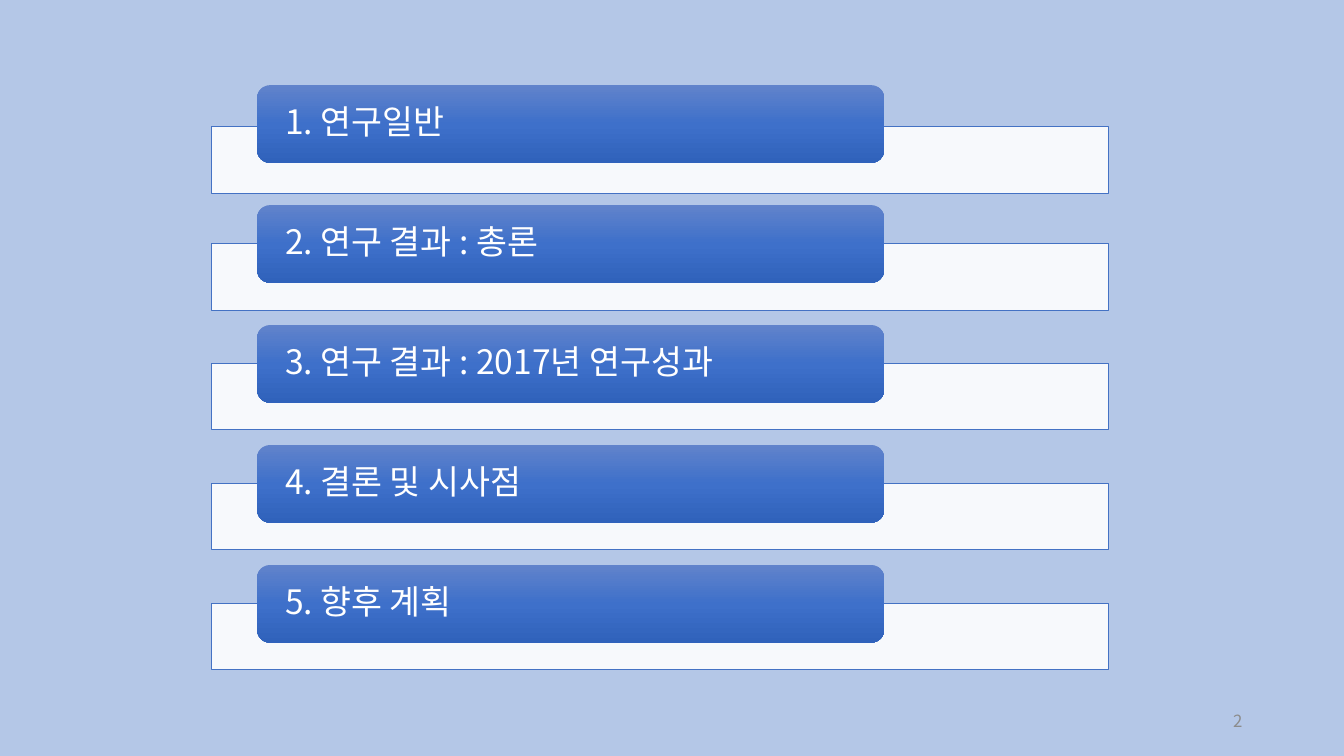
from lxml import etree
from pptx import Presentation
from pptx.dml.color import RGBColor
from pptx.enum.shapes import MSO_SHAPE
from pptx.enum.text import MSO_ANCHOR, PP_ALIGN
from pptx.oxml.ns import qn
from pptx.util import Inches, Pt

RECTANGLE = MSO_SHAPE.RECTANGLE
ROUNDED = MSO_SHAPE.ROUNDED_RECTANGLE
MIDDLE = MSO_ANCHOR.MIDDLE
LEFT, RIGHT = PP_ALIGN.LEFT, PP_ALIGN.RIGHT

# Content: agenda text and how far its bar sits below the card top
AGENDA = [
    ("1. 연구일반", 0.41),
    ("2. 연구 결과 : 총론", 0.38),
    ("3. 연구 결과 : 2017년 연구성과", 0.38),
    ("4. 결론 및 시사점", 0.38),
    ("5. 향후 계획", 0.38),
]
PAGE_NUMBER = "2"

FONT = "Noto Sans CJK KR"
COLORS = {
    "background": "B4C7E7",
    "white": "FFFFFF",
    "bar_line": "4472C4",
    "card_top": "6183CB",
    "card_middle": "3E70CA",
    "card_bottom": "3062BB",
    "page_number": "8C8C8C",
}
CARD_STOPS = [(0, "card_top"), (50, "card_middle"), (100, "card_bottom")]

# Layout in inches
FIRST_CARD_TOP, CARD_STEP = 0.845, 1.19
CARD_LEFT, CARD_WIDTH, CARD_HEIGHT = 2.55, 6.22, 0.77
BAR_LEFT, BAR_WIDTH, BAR_HEIGHT = 2.1, 8.89, 0.66
CARD_INSET = 0.28


def color(name):
    return RGBColor.from_string(COLORS[name])


def write(shape, text, size, color_name, align=LEFT, inset=0.1, line_spacing=1.0):
    frame = shape.text_frame
    frame.word_wrap = True
    frame.vertical_anchor = MIDDLE
    frame.margin_left = frame.margin_right = Inches(inset)
    frame.margin_top = frame.margin_bottom = 0
    paragraph = frame.paragraphs[0]
    paragraph.alignment = align
    paragraph.line_spacing = line_spacing
    run = paragraph.add_run()
    run.text = text
    run.font.size = Pt(size)
    run.font.name = FONT
    run.font.color.rgb = color(color_name)
    east_asian = etree.SubElement(run.font._element, qn("a:ea"))
    east_asian.set("typeface", FONT)


def add_box(slide, kind, left, top, width, height):
    shape = slide.shapes.add_shape(
        kind, Inches(left), Inches(top), Inches(width), Inches(height))
    shape.shadow.inherit = False
    return shape


def fill_translucent_white(shape):
    shape.fill.solid()
    shape.fill.fore_color.rgb = color("white")
    value = shape._element.spPr.find(qn("a:solidFill")).find(qn("a:srgbClr"))
    etree.SubElement(value, qn("a:alpha")).set("val", "90000")


def fill_card_gradient(shape):
    shape.fill.gradient()
    gradient = shape._element.spPr.find(qn("a:gradFill"))
    for child in list(gradient):
        gradient.remove(child)
    stops = etree.SubElement(gradient, qn("a:gsLst"))
    for percent, name in CARD_STOPS:
        stop = etree.SubElement(stops, qn("a:gs"), pos=str(percent * 1000))
        etree.SubElement(stop, qn("a:srgbClr"), val=COLORS[name])
    etree.SubElement(gradient, qn("a:lin"), ang="5400000", scaled="0")


def main():
    presentation = Presentation()
    presentation.slide_width = Inches(13.33)
    presentation.slide_height = Inches(7.5)
    slide = presentation.slides.add_slide(presentation.slide_layouts[6])
    slide.background.fill.solid()
    slide.background.fill.fore_color.rgb = color("background")

    # Agenda rows: a pale bar with a card over it
    for index, (text, bar_drop) in enumerate(AGENDA):
        top = FIRST_CARD_TOP + index * CARD_STEP
        bar = add_box(slide, RECTANGLE, BAR_LEFT, top + bar_drop, BAR_WIDTH, BAR_HEIGHT)
        fill_translucent_white(bar)
        bar.line.color.rgb = color("bar_line")
        bar.line.width = Pt(0.5)

        card = add_box(slide, ROUNDED, CARD_LEFT, top, CARD_WIDTH, CARD_HEIGHT)
        fill_card_gradient(card)
        card.line.fill.background()
        write(card, text, 24, "white", inset=CARD_INSET - 0.04, line_spacing=0.9)

    # Page number
    number = slide.shapes.add_textbox(Inches(9.42), Inches(6.95), Inches(3), Inches(0.4))
    write(number, PAGE_NUMBER, 12, "page_number", align=RIGHT)

    presentation.save("out.pptx")


if __name__ == "__main__":
    main()
